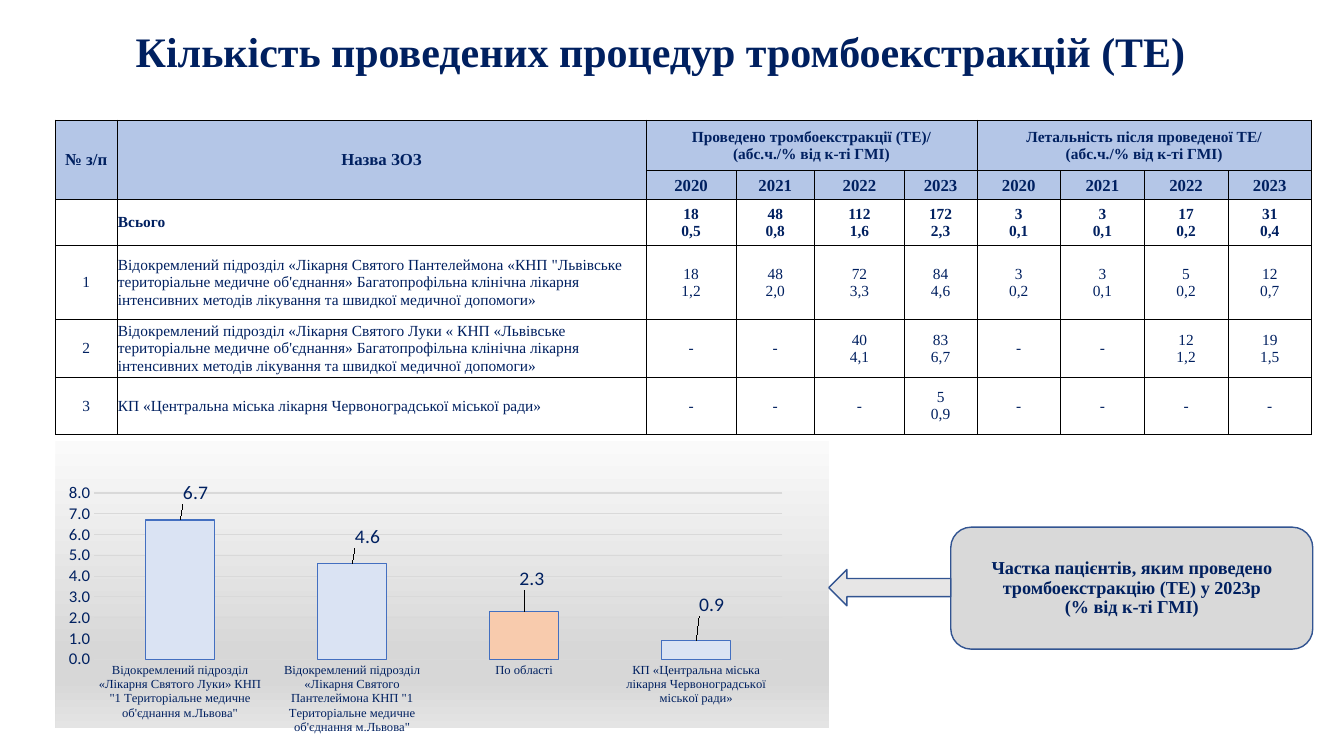
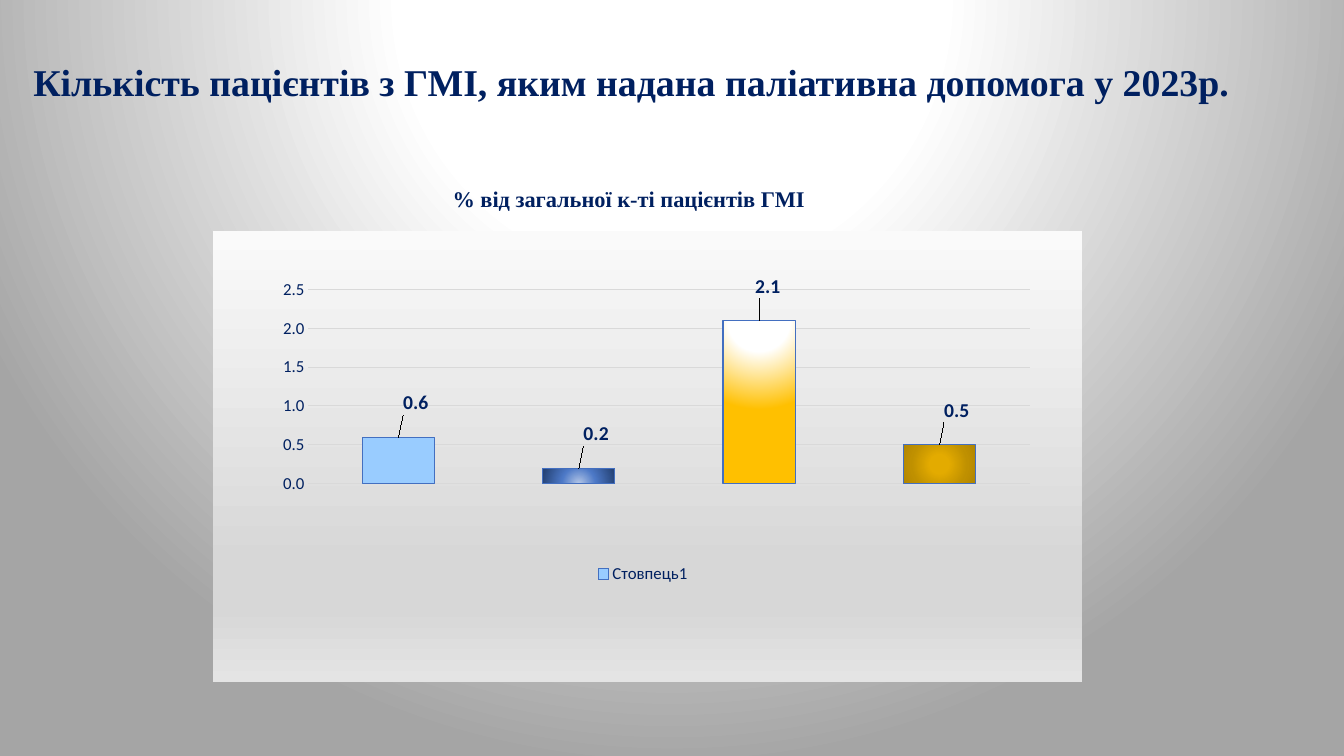
"""Builds two slides on thrombectomy and palliative care for stroke patients."""
from pptx import Presentation as Deck
from pptx.chart.data import CategoryChartData as Data
from pptx.dml.color import RGBColor as Rgb
from pptx.enum.chart import XL_CHART_TYPE as Kind, XL_LABEL_POSITION as Spot
from pptx.enum.chart import XL_LEGEND_POSITION as Side, XL_TICK_MARK as Tick
from pptx.enum.shapes import MSO_SHAPE as Form
from pptx.enum.text import MSO_ANCHOR as Anchor, MSO_AUTO_SIZE as Auto, PP_ALIGN as Align
from pptx.oxml import parse_xml
from pptx.oxml.ns import nsdecls, qn
from pptx.util import Inches, Pt

INK = {
    "navy": "002060", "head": "B4C6E7", "white": "FFFFFF", "black": "000000",
    "panel": "D9D9D9", "arrow": "E7E6E6", "edge": "325491", "grid": "D9D9D9",
    "rim": "436FC0", "pale": "DAE3F3", "peach": "F8CBAD", "sky": "99CCFF",
}
SERIF, SANS = "Times New Roman", "Calibri"
GLOW = (50, -80, 50, 180)
PANEL = [(0, "FAFAFA"), (74, "D7D7D7"), (83, "D7D7D7"), (100, "E4E4E4")]
SHADE = [(0, "FFFFFF"), (35, "FFFFFF"), (100, "A5A5A5")]
BLUE = [(0, "B4C7E7"), (46, "4D79C7"), (100, "264478")]
GOLD = [(0, "FFFFFF"), (35, "FFFFFF"), (100, "FFC000")]
BRONZE = [(0, "E3AB00"), (23, "E3AB00"), (69, "BF9000"), (97, "B28600")]


def ink(name):
    return Rgb.from_string(INK[name])


def style(font, size, color="navy", bold=False, face=SERIF):
    font.size, font.bold, font.name = Pt(size), bold, face
    font.color.rgb = ink(color)


def write(frame, text, align=Align.LEFT, lead=None, **fmt):
    for i, line in enumerate(text.split("\n")):
        para = frame.paragraphs[0] if i == 0 else frame.add_paragraph()
        para.alignment = align
        if lead:
            para.line_spacing = lead
        run = para.add_run()
        run.text = line
        style(run.font, **fmt)


def blend(stops, rect=None):
    marks = "".join(f'<a:gs pos="{at * 1000}"><a:srgbClr val="{hue}"/></a:gs>'
                    for at, hue in stops)
    way = '<a:lin ang="5400000" scaled="0"/>'
    if rect:
        edges = " ".join(f'{k}="{v * 1000}"' for k, v in zip("ltrb", rect))
        way = f'<a:path path="circle"><a:fillToRect {edges}/></a:path>'
    return parse_xml(f'<a:gradFill {nsdecls("a")} rotWithShape="1">'
                     f'<a:gsLst>{marks}</a:gsLst>{way}</a:gradFill>')


def swap(root, stops, rect):
    old = root.find(".//" + qn("a:solidFill"))
    old.getparent().replace(old, blend(stops, rect))


def place(mode="", **spots):
    tags = '<c:layoutTarget val="inner"/>' if mode == "inner" else ""
    if mode:
        tags += '<c:xMode val="edge"/><c:yMode val="edge"/>'
    tags += "".join(f'<c:{k} val="{v}"/>' for k, v in spots.items())
    return parse_xml(f'<c:layout {nsdecls("c")}><c:manualLayout>{tags}'
                     '</c:manualLayout></c:layout>')


def relay(node, index, layout):
    old = node.find(qn("c:layout"))
    if old is not None:
        node.remove(old)
    node.insert(index, layout)


class Show:
    def __init__(self):
        self.deck = Deck()
        self.deck.slide_width, self.deck.slide_height = Inches(13.33), Inches(7.5)
        self.slide = None

    def page(self, title, area, size, align):
        self.slide = self.deck.slides.add_slide(self.deck.slide_layouts[5])
        box = self.slide.shapes.title
        box.left, box.top, box.width, box.height = map(Inches, area)
        frame = box.text_frame
        frame.auto_size, frame.vertical_anchor = Auto.NONE, Anchor.MIDDLE
        write(frame, title, align, 0.9, size=size, bold=True)

    def ground(self, stops, rect):
        self.slide.background.fill.solid()
        self.slide.background.fill.fore_color.rgb = ink("white")
        swap(self.slide.element.find(".//" + qn("p:bgPr")), stops, rect)

    def label(self, text, area, **fmt):
        box = self.slide.shapes.add_textbox(*map(Inches, area))
        box.text_frame.word_wrap = False
        write(box.text_frame, text, **fmt)

    def shape(self, form, area, fill, text="", **fmt):
        item = self.slide.shapes.add_shape(form, *map(Inches, area))
        item.shadow.inherit = False
        item.fill.solid()
        item.fill.fore_color.rgb = ink(fill)
        item.line.color.rgb, item.line.width = ink("edge"), Pt(1)
        if text:
            item.text_frame.word_wrap = True
            item.text_frame.vertical_anchor = Anchor.MIDDLE
            write(item.text_frame, text, **fmt)

    def cell(self, cell, fill, text="", **fmt):
        cell.margin_left = cell.margin_right = cell.margin_top = Inches(0.01)
        cell.margin_bottom = 0
        cell.vertical_anchor = Anchor.MIDDLE
        cell.fill.solid()
        cell.fill.fore_color.rgb = ink(fill)
        prop = cell._tc.get_or_add_tcPr()
        for i, side in enumerate("LRTB"):
            prop.insert(i, parse_xml(
                f'<a:ln{side} {nsdecls("a")} w="6350"><a:solidFill>'
                f'<a:srgbClr val="{INK["black"]}"/></a:solidFill></a:ln{side}>'))
        if text:
            write(cell.text_frame, text, **fmt)

    def table(self, area, cols, tall, rows, spans):
        grid = self.slide.shapes.add_table(
            len(rows), len(cols), *map(Inches, area)).table
        grid.first_row = grid.horz_banding = False
        for col, wide in zip(grid.columns, cols):
            col.width = Inches(wide)
        for row, high in zip(grid.rows, tall):
            row.height = Inches(high)
        for r, row in enumerate(rows):
            for c, text in enumerate(row):
                big = r == 1 or (r == 0 and c < 2)
                self.cell(grid.cell(r, c), "head" if r < 2 else "white", text,
                          align=Align.LEFT if c == 1 and r > 1 else Align.CENTER,
                          size=12 if big else 11, bold=r < 3)
        for start, end in spans:
            grid.cell(*start).merge(grid.cell(*end))

    def chart(self, area, name, cats, vals, fills, nudge, plot, top, step,
              bold=False, legend=None):
        data = Data(number_format="0.0")
        data.categories = cats
        data.add_series(name, vals)
        chart = self.slide.shapes.add_chart(
            Kind.COLUMN_CLUSTERED, *map(Inches, area), data).chart
        style(chart.font, 10, "black", face=SANS)
        chart.has_title = False
        root = chart.element
        body = parse_xml(f'<c:spPr {nsdecls("c", "a")}><a:ln><a:noFill/></a:ln></c:spPr>')
        body.insert(0, blend(PANEL))
        root.find(qn("c:chart")).addnext(body)
        relay(root.find(".//" + qn("c:plotArea")), 0,
              place("inner", **dict(zip("xywh", plot))))
        self.axes(chart, top, step)
        bars = chart.plots[0]
        bars.vary_by_categories, bars.gap_width = False, 150
        self.bars(bars.series[0], fills, bold)
        for dot, (x, y) in zip(root.iter(qn("c:dLbl")), nudge):
            relay(dot, 1, place(x=x, y=y))
        for dot, fill in zip(root.iter(qn("c:dPt")), fills):
            if not isinstance(fill, str):
                swap(dot, *fill)
        chart.has_legend = bool(legend)
        if legend:
            chart.category_axis.visible = False
            chart.legend.position = Side.BOTTOM
            chart.legend.include_in_layout = False
            style(chart.legend.font, 12, face=SANS)
            relay(root.find(".//" + qn("c:legend")), 1,
                  place("edge", **dict(zip("xywh", legend))))

    def axes(self, chart, top, step):
        base, scale = chart.category_axis, chart.value_axis
        for axis, size, face in ((base, 9, SERIF), (scale, 12, SANS)):
            axis.major_tick_mark = axis.minor_tick_mark = Tick.NONE
            axis.format.line.fill.background()
            style(axis.tick_labels.font, size, face=face)
        scale.minimum_scale, scale.maximum_scale, scale.major_unit = 0, top, step
        scale.tick_labels.number_format = "0.0"
        scale.tick_labels.number_format_is_linked = False
        scale.has_major_gridlines = True
        line = scale.major_gridlines.format.line
        line.color.rgb, line.width = ink("grid"), Pt(0.75)

    def bars(self, series, fills, bold):
        points = [series.points[i] for i in range(len(fills))]
        for item in [series, *points]:
            item.format.fill.solid()
            item.format.fill.fore_color.rgb = ink(fills[0])
            item.format.line.color.rgb = ink("rim")
            item.format.line.width = Pt(0.75)
        for point, fill in zip(points, fills):
            if isinstance(fill, str):
                point.format.fill.fore_color.rgb = ink(fill)
            style(point.data_label.font, 14, bold=bold, face=SANS)
            point.data_label.position = Spot.OUTSIDE_END


def main():
    show = Show()
    show.page("Кількість проведених процедур тромбоекстракцій (ТЕ)",
              (0.55, 0.26, 12.01, 0.56), 30, Align.CENTER)
    years = ["2020", "2021", "2022", "2023"]
    unit = "(абс.ч./% від к-ті ГМІ)"
    tail = ("територіальне медичне об'єднання» Багатопрофільна клінічна лікарня "
            "інтенсивних методів лікування та швидкої медичної допомоги»")
    rows = [
        ["№ з/п", "Назва ЗОЗ", f"Проведено тромбоекстракції (ТЕ)/\n{unit}", "", "", "",
         f"Летальність після проведеної ТЕ/\n{unit}", "", "", ""],
        ["", "", *years, *years],
        ["", "Всього", "18\n0,5", "48\n0,8", "112\n1,6", "172\n2,3",
         "3\n0,1", "3\n0,1", "17\n0,2", "31\n0,4"],
        ["1", f"Відокремлений підрозділ «Лікарня Святого Пантелеймона «КНП \"Львівське {tail}",
         "18\n1,2", "48\n2,0", "72\n3,3", "84\n4,6",
         "3\n0,2", "3\n0,1", "5\n0,2", "12\n0,7"],
        ["2", f"Відокремлений підрозділ «Лікарня Святого Луки « КНП «Львівське {tail}",
         "-", "-", "40\n4,1", "83\n6,7", "-", "-", "12\n1,2", "19\n1,5"],
        ["3", "КП «Центральна міська лікарня Червоноградської міської ради»",
         "-", "-", "-", "5\n0,9", "-", "-", "-", "-"],
    ]
    show.table((0.55, 1.19, 12.43, 3.12),
               [0.61, 5.25, 0.89, 0.78, 0.89, 0.72] + [0.83] * 4,
               [0.5, 0.29, 0.45, 0.74, 0.57, 0.57], rows,
               [((0, 0), (1, 0)), ((0, 1), (1, 1)), ((0, 2), (0, 5)), ((0, 6), (0, 9))])
    town = "Територіальне медичне об'єднання м.Львова\""
    show.chart((0.55, 4.38, 7.67, 2.91), "Series 1",
               [f"Відокремлений підрозділ «Лікарня Святого Луки» КНП \"1 {town}",
                f"Відокремлений підрозділ «Лікарня Святого Пантелеймона КНП \"1 {town}",
                "По області",
                "КП «Центральна міська лікарня Червоноградської міської ради»"],
               [6.7, 4.6, 2.3, 0.9], ["pale", "pale", "peach", "pale"],
               [(0.02, -0.04), (0.02, -0.04), (0.01, -0.06), (0.02, -0.07)],
               (0.05, 0.18, 0.89, 0.58), 8, 1)
    show.shape(Form.ROUNDED_RECTANGLE, (9.43, 5.23, 3.59, 1.21), "panel",
               "Частка пацієнтів, яким проведено тромбоекстракцію (ТЕ) у 2023р\n"
               "(% від к-ті ГМІ)", align=Align.CENTER, lead=0.9, size=13, bold=True)
    show.shape(Form.LEFT_ARROW, (8.22, 5.65, 1.21, 0.36), "arrow")

    show.page("Кількість пацієнтів з ГМІ, яким надана паліативна допомога у 2023р.",
              (0.23, 0.42, 12.79, 0.84), 27, Align.LEFT)
    show.ground(SHADE, GLOW)
    show.chart((2.11, 2.29, 8.62, 4.48), "Стовпець1", ["1", "2", "3", "4"],
               [0.6, 0.2, 2.1, 0.5],
               ["sky", (BLUE, (50, 130, 50, -30)), (GOLD, GLOW), (BRONZE, (50,) * 4)],
               [(0.02, -0.04), (0.02, -0.04), (0.01, -0.04), (0.02, -0.04)],
               (0.11, 0.13, 0.83, 0.43), 2.5, 0.5, bold=True,
               legend=(0.43, 0.73, 0.13, 0.06))
    show.label("% від загальної к-ті пацієнтів ГМІ", (4.39, 1.79, 3.75, 0.37),
               size=16, bold=True)
    show.deck.save("out.pptx")


if __name__ == "__main__":
    main()
